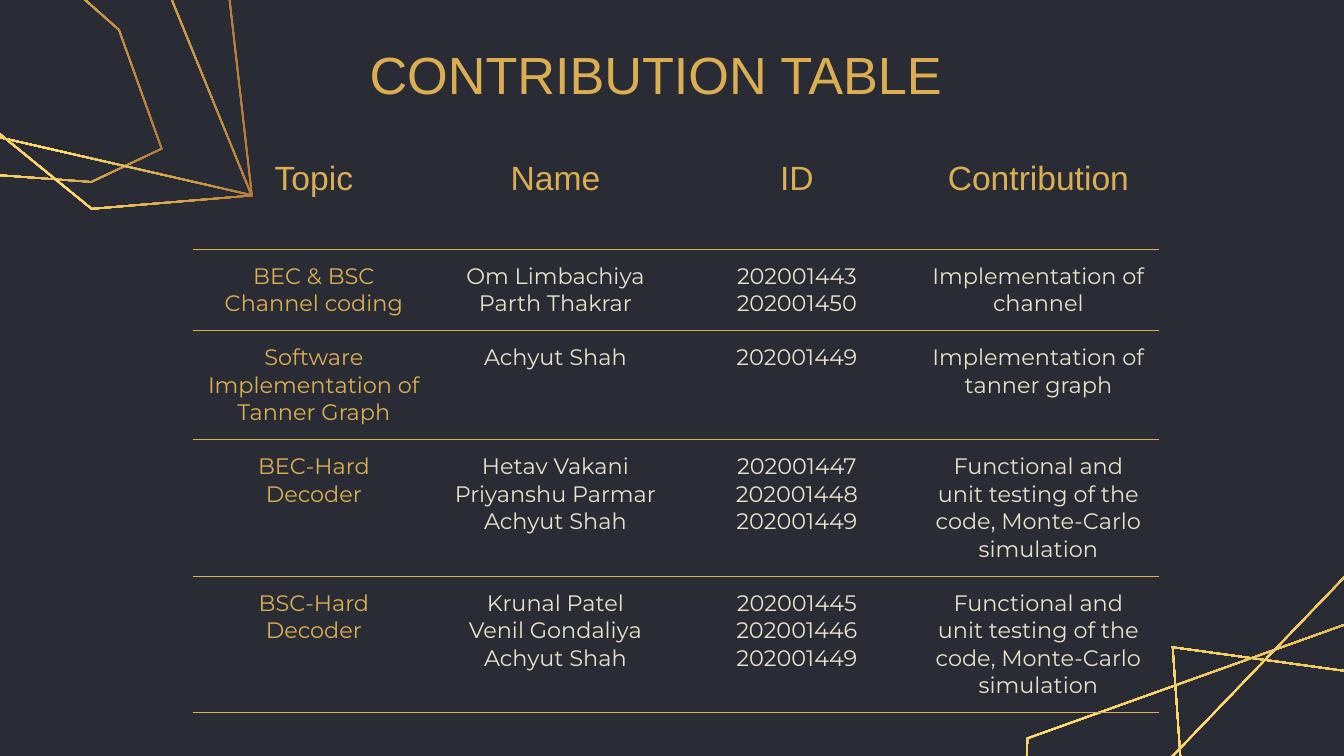
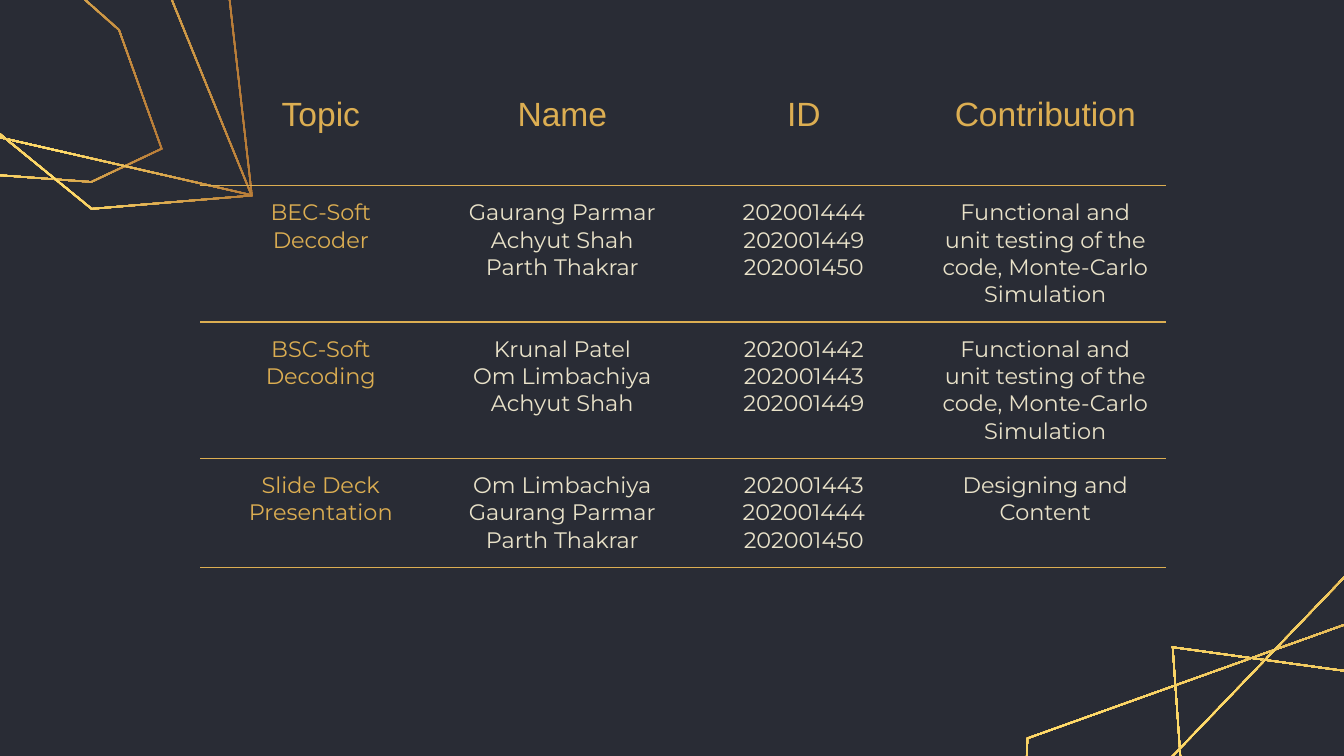
import copy
import math

from lxml import etree
from pptx import Presentation
from pptx.dml.color import RGBColor
from pptx.enum import text
from pptx.oxml.ns import qn
from pptx.util import Pt

COLORS = {
    "night": "292C35",
    "gold": "DCAE52",
    "cream": "E9E2C9",
    "bronze": "AF7132",
    "yellow": "FFDD6B",
}
HEAD_FONT, BODY_FONT = "Arial", "Montserrat"
NO_GRID_STYLE = "{2D5ABB26-0587-4C30-8999-92F81FD0307C}"

INSET = 7.2
COLUMN_WIDTH = 129.4
HEADER_HEIGHT = 55
LINE_HEIGHT = 14.6
STROKE = 0.8

# Corners of the decorative outlines, clockwise, by slide corner
TOP_LEFT_OUTLINES = [
    [(-110.9, -31.7), (-32.4, -69.8), (64.1, 15.8), (87.1, 79.9), (49, 97.9), (-77.8, 88.6)],
    [(-79.9, 7.2), (-51.1, -50.4), (123.1, -2.9), (135.4, 105.1), (-18.7, 69.8)],
    [(-79.9, 7.2), (57.6, -85.7), (135.4, 105.1), (49, 112.3)],
]
BOTTOM_RIGHT_OUTLINES = [
    [(645.8, 601.2), (627.8, 346.3), (941.8, 389.5), (884.9, 510.5)],
    [(544.3, 528.5), (550.1, 395.3), (735.1, 329), (837.4, 344.9), (834.5, 409.7), (729.4, 571.7)],
    [(603.4, 568.8), (547.2, 488.9), (738.7, 289.4), (891.4, 352.8), (732.2, 532.8)],
]

# Table content: each row is (topic, names, IDs, contribution, lines in the tallest cell)
HEADINGS = ["Topic", "Name", "ID", "Contribution"]
TESTING = "Functional and unit testing of the code, Monte-Carlo\n"
CODING_ROWS = [
    ("BEC & BSC\nChannel coding", "Om Limbachiya\nParth Thakrar",
     "202001443\n202001450", "Implementation of channel", 2),
    ("Software\nImplementation of Tanner Graph", "Achyut Shah",
     "202001449", "Implementation of tanner graph", 3),
    ("BEC-Hard\nDecoder", "Hetav Vakani\nPriyanshu Parmar\nAchyut Shah",
     "202001447\n202001448\n202001449", TESTING + "simulation", 4),
    ("BSC-Hard\nDecoder", "Krunal Patel\nVenil Gondaliya\nAchyut Shah",
     "202001445\n202001446\n202001449", TESTING + "simulation", 4),
]
SOFT_ROWS = [
    ("BEC-Soft\nDecoder", "Gaurang Parmar\nAchyut Shah\nParth Thakrar",
     "202001444\n202001449\n202001450", TESTING + "Simulation", 4),
    ("BSC-Soft\nDecoding", "Krunal Patel\nOm Limbachiya\nAchyut Shah",
     "202001442\n202001443\n202001449", TESTING + "Simulation", 4),
    ("Slide Deck Presentation", "Om Limbachiya\nGaurang Parmar\nParth Thakrar",
     "202001443\n202001444\n202001450", "Designing and Content", 3),
]


def rgb(name):
    return RGBColor.from_string(COLORS[name])


def write(frame, words, font, size, color):
    """Fill a text frame with centred paragraphs, one per line of words."""
    frame.text = words
    for para in frame.paragraphs:
        para.alignment = text.PP_ALIGN.CENTER
        para.font.name = font
        para.font.size = Pt(size)
        para.font.bold = False
        para.font.color.rgb = rgb(color)


# Shared decoration
def inset_corners(corners, depth):
    """Move every side of a clockwise polygon inwards by depth."""
    def normal(start, end):
        dx, dy = end[0] - start[0], end[1] - start[1]
        length = math.hypot(dx, dy)
        return -dy / length, dx / length

    inner = []
    for i, corner in enumerate(corners):
        ax, ay = normal(corners[i - 1], corner)
        bx, by = normal(corner, corners[(i + 1) % len(corners)])
        reach = depth / (1 + ax * bx + ay * by)
        inner.append((corner[0] + reach * (ax + bx), corner[1] + reach * (ay + by)))
    return inner


def paint_gradient(shape, angle):
    shape.fill.gradient()
    shape.fill.gradient_angle = angle
    stop_list = shape.element.spPr.find(".//" + qn("a:gsLst"))
    stop_list.append(copy.deepcopy(stop_list[-1]))
    stops = zip(shape.fill.gradient_stops, (0, 0.5, 1), ("bronze", "yellow", "gold"))
    for stop, position, color in stops:
        stop.position = position
        stop.color.rgb = rgb(color)


def add_outline(page, corners, angle):
    """Draw a thin gradient ring along the corners."""
    rings = [[(Pt(x), Pt(y)) for x, y in ring]
             for ring in (corners, inset_corners(corners, STROKE))]
    builder = page.shapes.build_freeform(*rings[0][0])
    builder.add_line_segments(rings[0][1:], close=True)
    builder.move_to(*rings[1][0])
    builder.add_line_segments(rings[1][1:], close=True)
    shape = builder.convert_to_shape()
    shape.shadow.inherit = False
    shape.line.fill.background()
    paint_gradient(shape, angle)
    return shape


def decorate_master(deck, page):
    """Set the background and move the outlines to the master."""
    master = deck.slide_master
    master.background.fill.solid()
    master.background.fill.fore_color.rgb = rgb("night")
    for outlines, angle in ((TOP_LEFT_OUTLINES, 185), (BOTTOM_RIGHT_OUTLINES, 65)):
        for corners in outlines:
            master.shapes.element.append(add_outline(page, corners, angle).element)


# Slide elements
def set_title(page, words):
    title = page.shapes.title
    title.left, title.top, title.width, title.height = Pt(148.5), Pt(22.5), Pt(405.5), Pt(34)
    frame = title.text_frame
    frame.auto_size = text.MSO_AUTO_SIZE.NONE
    frame.vertical_anchor = text.MSO_ANCHOR.MIDDLE
    frame.margin_left = frame.margin_right = frame.margin_top = frame.margin_bottom = Pt(INSET)
    write(frame, words, HEAD_FONT, 28, "gold")


def set_border(cell, side):
    line = etree.Element(qn("a:" + side), w=str(Pt(0.75)))
    fill = etree.SubElement(line, qn("a:solidFill"))
    etree.SubElement(fill, qn("a:srgbClr"), val=COLORS["gold"])
    return line


def style_cell(cell, is_header):
    cell.margin_left = cell.margin_right = cell.margin_top = cell.margin_bottom = Pt(INSET)
    cell.vertical_anchor = text.MSO_ANCHOR.TOP
    cell.fill.background()
    sides = ["lnB"] if is_header else ["lnT", "lnB"]
    properties = cell._tc.get_or_add_tcPr()
    for index, side in enumerate(sides):
        properties.insert(index, set_border(cell, side))


def add_contribution_table(page, left, top, rows):
    heights = [HEADER_HEIGHT] + [2 * INSET + LINE_HEIGHT * row[-1] for row in rows]
    frame = page.shapes.add_table(len(heights), len(HEADINGS), Pt(left), Pt(top),
                                  Pt(COLUMN_WIDTH * len(HEADINGS)), Pt(sum(heights)))
    table = frame.table
    table.horz_banding = False
    frame.element.find(".//" + qn("a:tableStyleId")).text = NO_GRID_STYLE
    for column in table.columns:
        column.width = Pt(COLUMN_WIDTH)
    for r, (height, words) in enumerate(zip(heights, [HEADINGS] + [row[:-1] for row in rows])):
        table.rows[r].height = Pt(height)
        for c, content in enumerate(words):
            cell = table.cell(r, c)
            style_cell(cell, r == 0)
            if r == 0:
                write(cell.text_frame, content, HEAD_FONT, 18, "gold")
            else:
                write(cell.text_frame, content, BODY_FONT, 12, "cream" if c else "gold")


def main():
    deck = Presentation()
    deck.slide_width, deck.slide_height = Pt(720), Pt(405)
    title_only, blank = deck.slide_layouts[5], deck.slide_layouts[6]

    # Slide 1: title and first part of the table
    page = deck.slides.add_slide(title_only)
    decorate_master(deck, page)
    set_title(page, "CONTRIBUTION TABLE")
    add_contribution_table(page, 103.5, 78.5, CODING_ROWS)

    # Slide 2: rest of the table
    page = deck.slides.add_slide(blank)
    add_contribution_table(page, 107.2, 44.5, SOFT_ROWS)

    deck.save("out.pptx")


if __name__ == "__main__":
    main()
